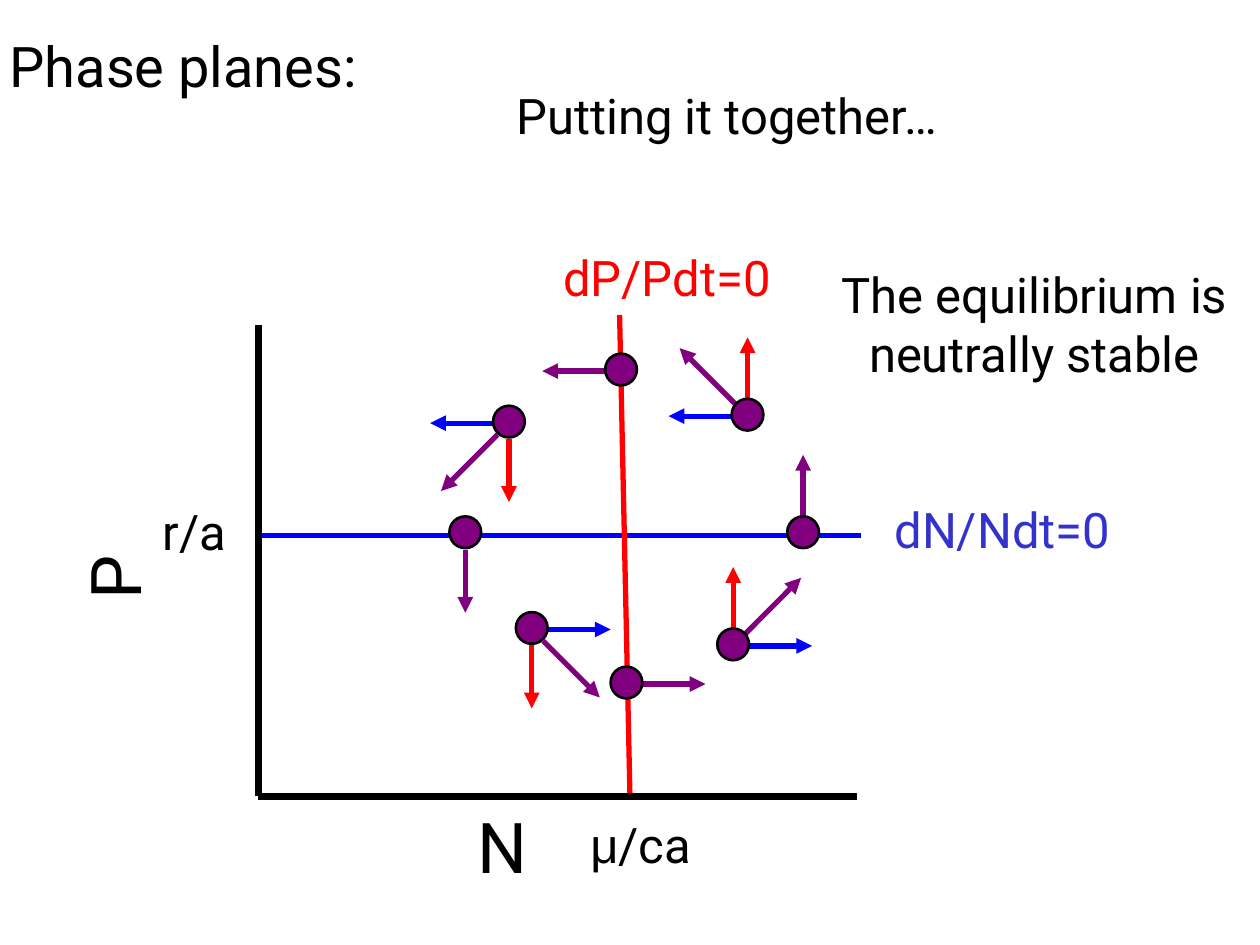
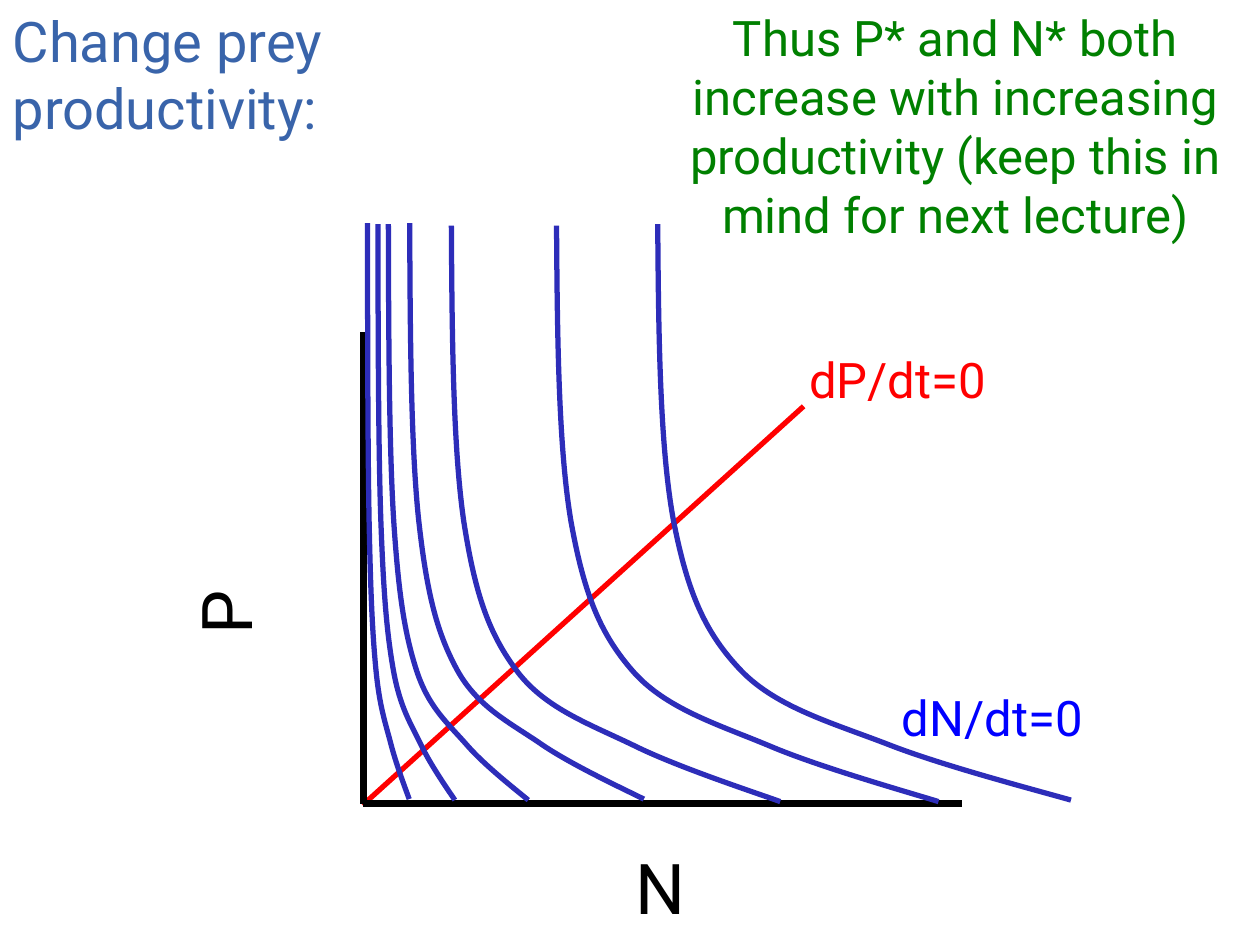
import pptx
import pptx.util
import pptx.dml.color
import pptx.enum.shapes
import pptx.enum.text
import pptx.oxml.ns
from lxml import etree

Cm, Pt = pptx.util.Cm, pptx.util.Pt
qualified = pptx.oxml.ns.qn
RGBColor = pptx.dml.color.RGBColor
ALIGN = pptx.enum.text.PP_ALIGN

BLACK = RGBColor(0x00, 0x00, 0x00)
RED = RGBColor(0xFF, 0x00, 0x00)
BLUE = RGBColor(0x00, 0x00, 0xFF)
PURPLE = RGBColor(0x80, 0x00, 0x80)
GREEN = RGBColor(0x00, 0x80, 0x00)
LABEL_BLUE = RGBColor(0x33, 0x33, 0xCC)
CURVE_BLUE = RGBColor(0x2D, 0x2D, 0xB9)
TITLE_BLUE = RGBColor(0x39, 0x64, 0xAA)
FONT = "Roboto"

# Content: all positions and lengths in centimetres
PHASE_PLANE = {
    "title": ("Phase planes:", (-0.43, 0.51, 8.26, 1.6), BLACK, ALIGN.CENTER),
    "origin": (5.21, 16.05),
    "axis_names": {"N": (9.37, 15.82), "P": (1.5, 10.59)},
    "lines": [
        ((5.28, 10.8), (17.35, 10.8), BLUE),
        ((12.49, 6.35), (12.7, 16.09), RED),
    ],
    "labels": [
        ([("r/a", FONT)], (2.33, 9.98, 3.18, 1.45), BLACK, ALIGN.CENTER),
        ([("Putting it together…", FONT)], (10.16, 1.6, 14.6, 1.45), BLACK, ALIGN.LEFT),
        ([("dN/Ndt=0", FONT)], (16.71, 9.95, 6.99, 1.45), LABEL_BLUE, ALIGN.CENTER),
        ([("μ", "Arial"), ("/ca", FONT)], (11.43, 16.3, 2.97, 1.45), BLACK, ALIGN.CENTER),
        ([("dP/Pdt=0", FONT)], (9.95, 4.87, 6.99, 1.45), RED, ALIGN.CENTER),
        ([("The equilibrium is\vneutrally stable", FONT)],
         (15.87, 5.21, 9.96, 2.62), BLACK, ALIGN.CENTER),
    ],
}
PREY_PRODUCTIVITY = {
    "title": ("Change prey productivity:", (0, 0, 8.26, 3), TITLE_BLUE, ALIGN.LEFT),
    "origin": (7.32, 16.2),
    "axis_names": {"N": (12.57, 16.65), "P": (3.73, 11.28)},
    "lines": [((16.2, 8.19), (7.31, 16.23), RED)],
    "labels": [
        ([("dP/dt=0", FONT)], (14.6, 6.92, 6.99, 1.45), RED, ALIGN.CENTER),
        ([("dN/dt=0", FONT)], (16.51, 13.74, 6.99, 1.45), BLUE, ALIGN.CENTER),
        ([("Thus P* and N* both increase with increasing productivity "
           "(keep this in mind for next lecture)", FONT)],
         (13.12, 0.03, 12.27, 5.05), GREEN, ALIGN.CENTER),
    ],
}

# Population states: centre, prey direction (x), predator direction (y, down is 1)
STATES = [
    ((14.78, 12.99), 1, -1),
    ((10.26, 8.5), -1, 1),
    ((16.19, 10.73), 0, -1),
    ((12.52, 7.45), -1, 0),
    ((15.07, 8.36), -1, -1),
    ((10.72, 12.66), 1, 1),
    ((9.38, 10.73), 0, 1),
    ((12.63, 13.76), 1, 0),
]
DOT_SIZE = 0.64
ARROW_DROP = 0.03
STRAIGHT_REACH = (0.32, 1.59)
DIAGONAL_REACH = (0.23, 1.37)

# Prey isoclines: left, top, width; one shape in percent of its box
ISOCLINES = [
    (13.26, 4.52, 8.33), (11.22, 4.55, 7.7), (9.1, 4.55, 6.63), (8.26, 4.5, 4.72),
    (7.83, 4.52, 2.82), (7.62, 4.52, 1.55), (7.41, 4.5, 0.84),
]
ISOCLINE_HEIGHT = 11.61
ISOCLINE_BEZIER = [
    (0, 0), (0.2, 19.2), (0.5, 38.5), (3.8, 51.4), (7.3, 64.3), (11.6, 71.1), (20.3, 77.6),
    (29, 84), (42.7, 86.7), (56, 90.4), (69.2, 94.1), (92.7, 98.5), (100, 100),
]


def set_values(target, values):
    for name, value in values.items():
        setattr(target, name, value)


def write_text(shape, runs, size, color, alignment, wrap=True, spacing=None):
    frame = shape.text_frame
    set_values(frame, {
        "word_wrap": wrap,
        "auto_size": pptx.enum.text.MSO_AUTO_SIZE.SHAPE_TO_FIT_TEXT,
        "vertical_anchor": pptx.enum.text.MSO_ANCHOR.TOP,
    })
    paragraph = frame.paragraphs[0]
    set_values(paragraph, {"alignment": alignment, "line_spacing": spacing})
    for text, font_name in runs:
        # A vertical tab marks a line break inside the paragraph
        for index, line in enumerate(text.split("\v")):
            if index:
                paragraph.add_line_break()
            run = paragraph.add_run()
            run.text = line
            set_values(run.font, {"name": font_name, "size": Pt(size)})
            run.font.color.rgb = color


def add_text(shapes, box, *text_format, **options):
    textbox = shapes.add_textbox(*map(Cm, box))
    write_text(textbox, *text_format, **options)
    return textbox


def add_line(shapes, start, end, color, width=3, arrow=False):
    connector = shapes.add_connector(
        pptx.enum.shapes.MSO_CONNECTOR.STRAIGHT, *map(Cm, (*start, *end)))
    connector.line.color.rgb = color
    connector.line.width = Pt(width)
    properties = connector._element.spPr
    if arrow:
        outline = properties.find(qualified("a:ln"))
        etree.SubElement(outline, qualified("a:tailEnd"), type="triangle")
    etree.SubElement(properties, qualified("a:effectLst"))


def add_axes(slide, origin, names):
    shapes = slide.shapes.add_group_shape().shapes
    left, bottom = origin
    add_line(shapes, (left, bottom - 9.5), origin, BLACK, 4)
    add_line(shapes, origin, (left + 12.07, bottom), BLACK, 4)
    for name, width, rotation in (("N", 1.63, 0), ("P", 1.32, 270)):
        label = add_text(shapes, (*names[name], width, 2.18), [(name, FONT)], 40, BLACK,
                         ALIGN.LEFT, wrap=False, spacing=1.15)
        label.rotation = rotation


def add_plot_slide(presentation, content):
    slide = presentation.slides.add_slide(presentation.slide_layouts[5])
    text, box, color, alignment = content["title"]
    title = slide.shapes.title
    set_values(title, dict(zip(("left", "top", "width", "height"), map(Cm, box))))
    write_text(title, [(text, FONT)], 32, color, alignment)
    for start, end, line_color in content["lines"]:
        add_line(slide.shapes, start, end, line_color)
    add_axes(slide, content["origin"], content["axis_names"])
    for runs, label_box, label_color, label_alignment in content["labels"]:
        add_text(slide.shapes, label_box, runs, 28, label_color, label_alignment)
    return slide


def add_state_arrows(slide, center, prey, predator):
    # The resulting movement is purple; its two components are blue and red
    if prey and predator:
        arrows = [(0, predator, RED, STRAIGHT_REACH), (prey, 0, BLUE, STRAIGHT_REACH),
                  (prey, predator, PURPLE, DIAGONAL_REACH)]
    else:
        arrows = [(prey, predator, PURPLE, STRAIGHT_REACH)]
    for x, y, color, reach in arrows:
        start, end = [(center[0] + x * length, center[1] + ARROW_DROP + y * length)
                      for length in reach]
        add_line(slide.shapes, start, end, color, arrow=True)


def add_state_dot(slide, center):
    left, top = [value - DOT_SIZE / 2 for value in center]
    dot = slide.shapes.add_shape(pptx.enum.shapes.MSO_SHAPE.OVAL,
                                 *map(Cm, (left, top, DOT_SIZE, DOT_SIZE)))
    dot.shadow.inherit = False
    dot.fill.solid()
    dot.fill.fore_color.rgb = PURPLE
    dot.line.color.rgb = BLACK
    dot.line.width = Pt(1.5)


def add_isocline(slide, left, top, width):
    points = [(Cm(left + x * width / 100), Cm(top + y * ISOCLINE_HEIGHT / 100))
              for x, y in ISOCLINE_BEZIER]
    builder = slide.shapes.build_freeform(*points[0])
    builder.add_line_segments(points[1:], close=False)
    curve = builder.convert_to_shape()
    curve.shadow.inherit = False
    curve.fill.background()
    curve.line.color.rgb = CURVE_BLUE
    curve.line.width = Pt(3)
    # Join each three segments into one cubic curve
    outline = next(curve._element.iter(qualified("a:path")))
    segments = outline.findall(qualified("a:lnTo"))
    for first in range(0, len(segments), 3):
        cubic = etree.SubElement(outline, qualified("a:cubicBezTo"))
        for segment in segments[first:first + 3]:
            cubic.append(segment[0])
            outline.remove(segment)


def main():
    presentation = pptx.Presentation()
    set_values(presentation, {"slide_width": Cm(25.4), "slide_height": Cm(19.05)})

    # Phase plane with movement arrows
    slide = add_plot_slide(presentation, PHASE_PLANE)
    for state in STATES:
        add_state_arrows(slide, *state)
    for center, _, _ in STATES:
        add_state_dot(slide, center)

    # Isoclines for rising prey productivity
    slide = add_plot_slide(presentation, PREY_PRODUCTIVITY)
    for isocline in ISOCLINES:
        add_isocline(slide, *isocline)

    presentation.save("out.pptx")


if __name__ == "__main__":
    main()
